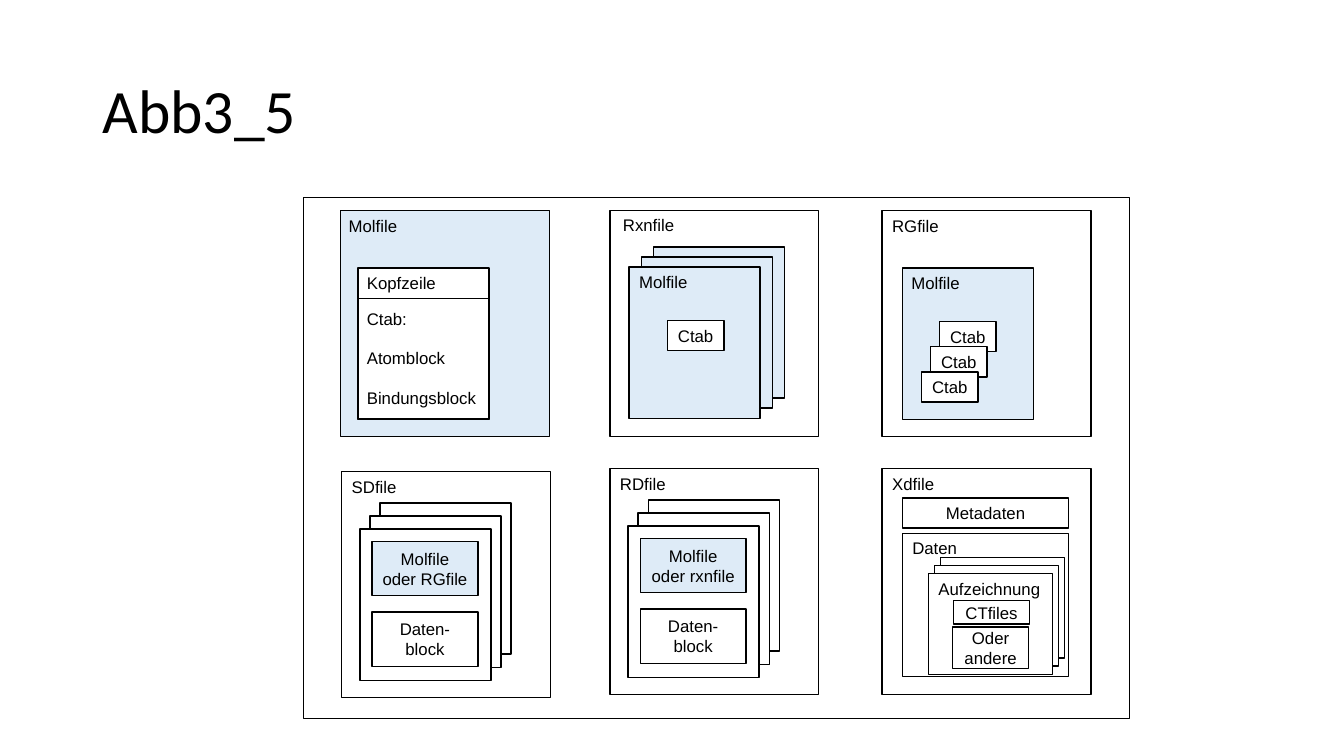
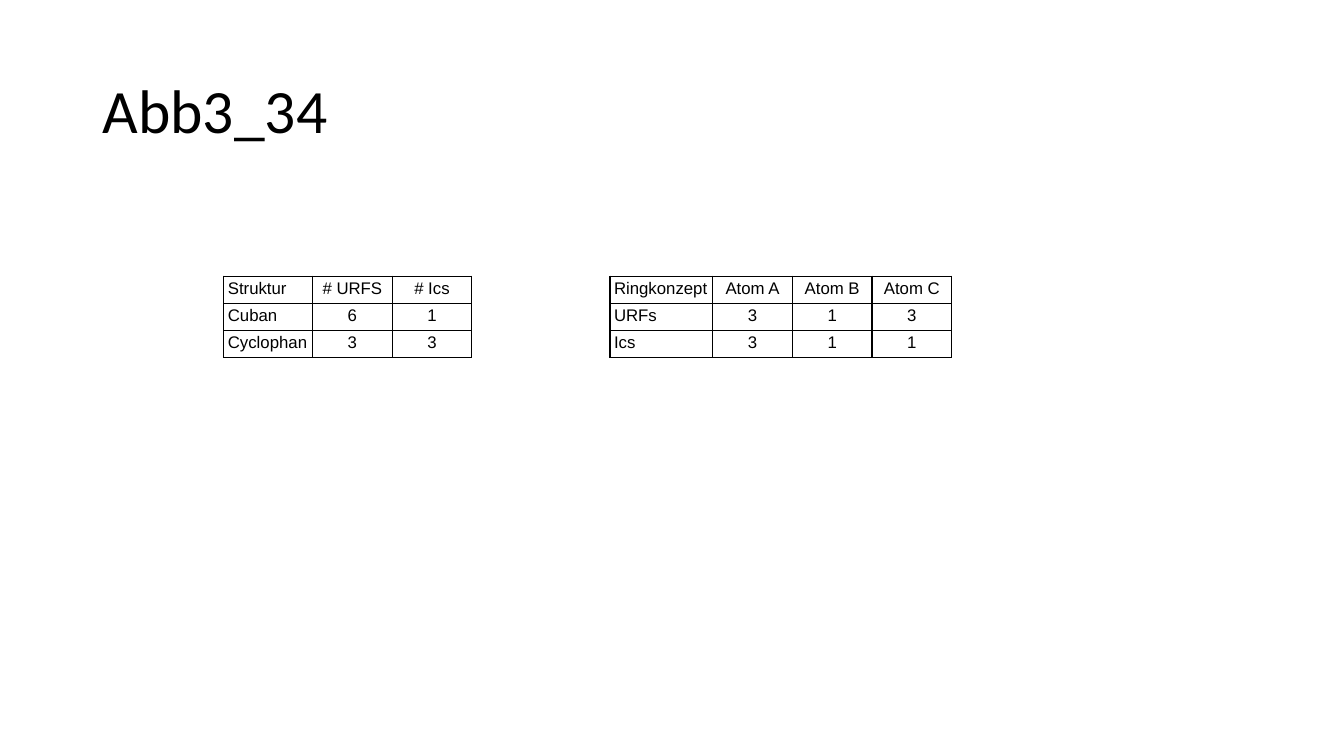
from lxml import etree
from pptx import Presentation
from pptx.dml.color import RGBColor
from pptx.enum.shapes import MSO_SHAPE
from pptx.enum.text import MSO_ANCHOR, PP_ALIGN
from pptx.oxml.ns import qn
from pptx.util import Inches, Pt

RECTANGLE = MSO_SHAPE.RECTANGLE
TOP, MIDDLE = MSO_ANCHOR.TOP, MSO_ANCHOR.MIDDLE
LEFT, CENTER = PP_ALIGN.LEFT, PP_ALIGN.CENTER

BLACK = RGBColor(0x00, 0x00, 0x00)
WHITE = RGBColor(0xFF, 0xFF, 0xFF)
PALE_BLUE = RGBColor(0xDE, 0xEB, 0xF7)

BODY = {"name": "Arial", "size": Pt(12)}
TITLE = {"name": "Calibri", "size": Pt(44)}
LINE_WIDTH = Pt(1)
FRAME_SIZE = (2.07, 2.24)
CARD_SIZE = (1.3, 1.5)
CTAB_SIZE = (0.56, 0.3)
BLOCK_SIZE = (1.05, 0.54)
ROW_HEIGHT = 0.27
CELL_MARGINS = {
    "margin_left": Inches(0.04), "margin_right": Inches(0.04),
    "margin_top": Inches(0.03), "margin_bottom": Inches(0.03),
}


# Shared text and page elements
def set_attributes(target, values):
    for name, value in values.items():
        setattr(target, name, value)


def write(text_frame, text, font=BODY, **paragraph_format):
    """Write one paragraph per line of text."""
    for index, line in enumerate(text.split("\n")):
        para = text_frame.add_paragraph() if index else text_frame.paragraphs[0]
        set_attributes(para, paragraph_format)
        span = para.add_run()
        span.text = line
        set_attributes(span.font, font)
        span.font.color.rgb = BLACK


def add_page(deck, title):
    page = deck.slides.add_slide(deck.slide_layouts[6])
    box = page.shapes.add_textbox(
        Inches(0.92), Inches(0.4), Inches(11.5), Inches(1.45))
    set_attributes(box.text_frame, {"word_wrap": True, "vertical_anchor": MIDDLE})
    write(box.text_frame, title, TITLE, line_spacing=0.9)
    return page


# Diagram elements
def add_box(page, left, top, size, fill=WHITE, text="", align=CENTER, anchor=MIDDLE):
    box = page.shapes.add_shape(
        RECTANGLE, Inches(left), Inches(top), *map(Inches, size))
    box.shadow.inherit = False
    box.fill.solid()
    box.fill.fore_color.rgb = fill
    box.line.color.rgb = BLACK
    box.line.width = LINE_WIDTH
    if text:
        wrap = align == LEFT or " " in text
        set_attributes(box.text_frame, {"word_wrap": wrap, "vertical_anchor": anchor})
        write(box.text_frame, text, alignment=align)


def add_label(page, left, top, text, width=0.75, height=0.3, gap=0):
    box = page.shapes.add_textbox(*map(Inches, (left, top, width, height)))
    box.text_frame.word_wrap = True
    write(box.text_frame, text, space_after=Pt(gap))


def add_stack(page, left, top, size, step, fill=WHITE, text=""):
    """Three cards; left and top place the front one."""
    for level in (2, 1, 0):
        add_box(page, left + level * step[0], top - level * step[1],
                size, fill, text)


def add_record_file(page, left, top, name, content):
    """Frame with stacked records, each made of a structure and a data block."""
    add_box(page, left, top, FRAME_SIZE)
    add_label(page, left, top, name)
    add_stack(page, left + 0.18, top + 0.57, CARD_SIZE, (0.1, 0.13))
    add_box(page, left + 0.3, top + 0.69, BLOCK_SIZE, PALE_BLUE, content)
    add_box(page, left + 0.3, top + 1.39, BLOCK_SIZE, text="Daten-\nblock")


# Table
def add_borders(cell):
    properties = cell._tc.get_or_add_tcPr()
    for side in ("lnL", "lnR", "lnT", "lnB"):
        line = etree.SubElement(properties, qn(f"a:{side}"), w=str(LINE_WIDTH))
        fill = etree.SubElement(line, qn("a:solidFill"))
        etree.SubElement(fill, qn("a:srgbClr"), val=str(BLACK))


def add_grid(page, left, top, widths, rows):
    frame = page.shapes.add_table(
        len(rows), len(widths), Inches(left), Inches(top),
        Inches(sum(widths)), Inches(ROW_HEIGHT * len(rows)))
    table = frame.table
    set_attributes(table, {"first_row": False, "horz_banding": False})
    for column, width in zip(table.columns, widths):
        column.width = Inches(width)
    for row, texts in zip(table.rows, rows):
        row.height = Inches(ROW_HEIGHT)
        for index, (cell, text) in enumerate(zip(row.cells, texts)):
            set_attributes(cell, CELL_MARGINS)
            write(cell.text_frame, text, alignment=CENTER if index else LEFT)
            add_borders(cell)
            cell.fill.background()


# Slides
def build_file_formats(deck):
    page = add_page(deck, "Abb3_5")
    add_box(page, 3.01, 1.96, (8.19, 5.17))

    # Molfile
    add_box(page, 3.38, 2.09, FRAME_SIZE, PALE_BLUE)
    add_label(page, 3.36, 2.09, "Molfile")
    add_box(page, 3.55, 2.66, CARD_SIZE)
    add_box(page, 3.55, 2.96, (1.3, 1.19))
    add_label(page, 3.54, 2.66, "Kopfzeile", width=1)
    add_label(page, 3.54, 3.01, "Ctab:\nAtomblock\nBindungsblock",
              width=1.4, height=1.11, gap=14)

    # Rxnfile
    add_box(page, 6.05, 2.09, FRAME_SIZE)
    add_label(page, 6.08, 2.08, "Rxnfile")
    add_stack(page, 6.24, 2.65, CARD_SIZE, (0.12, 0.1), PALE_BLUE)
    add_label(page, 6.24, 2.65, "Molfile")
    add_box(page, 6.62, 3.18, CTAB_SIZE, text="Ctab")

    # RGfile
    add_box(page, 8.75, 2.09, FRAME_SIZE)
    add_label(page, 8.75, 2.09, "RGfile")
    add_box(page, 8.95, 2.66, CARD_SIZE, PALE_BLUE)
    add_label(page, 8.94, 2.66, "Molfile")
    add_stack(page, 9.14, 3.69, CTAB_SIZE, (0.09, 0.25), text="Ctab")

    # SDfile and RDfile
    add_record_file(page, 3.39, 4.68, "SDfile", "Molfile oder RGfile")
    add_record_file(page, 6.05, 4.65, "RDfile", "Molfile oder rxnfile")

    # Xdfile
    add_box(page, 8.75, 4.65, FRAME_SIZE)
    add_label(page, 8.75, 4.65, "Xdfile")
    add_box(page, 8.95, 4.94, (1.65, 0.3), text="Metadaten")
    add_box(page, 8.95, 5.29, (1.65, 1.42), text="Daten", align=LEFT, anchor=TOP)
    add_stack(page, 9.21, 5.69, (1.23, 1), (0.06, 0.08))
    add_label(page, 9.21, 5.69, "Aufzeichnung", width=1.3)
    add_box(page, 9.46, 5.96, (0.75, 0.23), text="CTfiles")
    add_box(page, 9.45, 6.22, (0.75, 0.41), text="Oder andere")


def build_ring_tables(deck):
    page = add_page(deck, "Abb3_34")
    add_grid(page, 2.22, 2.74, [0.88] + [0.79] * 2, [
        ("Struktur", "# URFS", "# Ics"),
        ("Cuban", "6", "1"),
        ("Cyclophan", "3", "3"),
    ])
    add_grid(page, 6.05, 2.74, [1.02] + [0.79] * 3, [
        ("Ringkonzept", "Atom A", "Atom B", "Atom C"),
        ("URFs", "3", "1", "3"),
        ("Ics", "3", "1", "1"),
    ])


def main():
    deck = Presentation()
    deck.slide_width = Inches(13.33)
    deck.slide_height = Inches(7.5)
    build_file_formats(deck)
    build_ring_tables(deck)
    deck.save("out.pptx")


if __name__ == "__main__":
    main()
